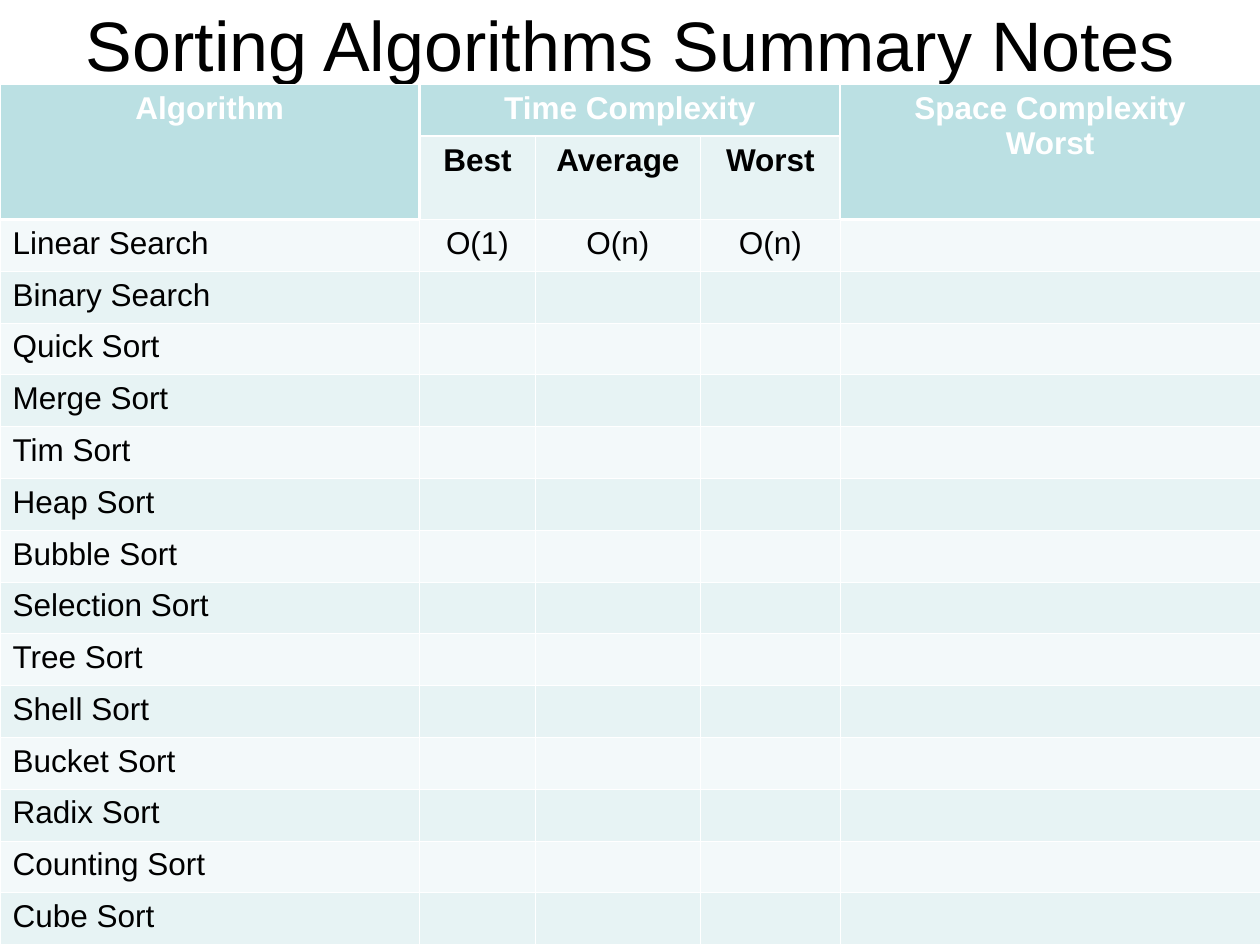
from lxml.etree import SubElement
from pptx import Presentation
from pptx.dml.color import RGBColor
from pptx.enum.text import MSO_ANCHOR, MSO_AUTO_SIZE, PP_ALIGN
from pptx.oxml.ns import qn
from pptx.util import Inches, Pt

COLUMN_WIDTHS = [3.33, 0.92, 1.31, 1.11, 3.33]
SUBHEAD_HEIGHT = 0.66
SUBHEADS = ["Best", "Average", "Worst"]
ALGORITHMS = ["Linear Search", "Binary Search", "Quick Sort", "Merge Sort", "Tim Sort",
              "Heap Sort", "Bubble Sort", "Selection Sort", "Tree Sort", "Shell Sort",
              "Bucket Sort", "Radix Sort", "Counting Sort", "Cube Sort"]
COMPLEXITIES = {"Linear Search": ["O(1)", "O(n)", "O(n)"]}
WHITE, BLACK, TEAL, BANDS = "FFFFFF", "000000", "BBE0E3", ["F3F9FA", "E7F3F4"]
NEIGHBOURS = {"a:lnL": (0, -1), "a:lnR": (0, 1), "a:lnT": (-1, 0), "a:lnB": (1, 0)}
THIN, THICK = 0.45, 1.47


def color(value):
    """Return the colour for a hex string."""
    return RGBColor.from_string(value)


def write(frame, text, size, ink, bold=False, align=PP_ALIGN.CENTER):
    """Write text into a frame, one paragraph for each line."""
    frame.text = text
    formats = {"name": "Arial", "size": Pt(size), "bold": bold}
    for para in frame.paragraphs:
        para.alignment = align
        for span in para.runs:
            for name, value in formats.items():
                setattr(span.font, name, value)
            span.font.color.rgb = color(ink)


def add_title(page, text, left, top, width, height):
    """Place and format the slide title."""
    title = page.shapes.title
    box = {"left": left, "top": top, "width": width, "height": height}
    for name, value in box.items():
        setattr(title, name, Inches(value))
    frame = title.text_frame
    formats = {"auto_size": MSO_AUTO_SIZE.NONE, "word_wrap": True,
               "vertical_anchor": MSO_ANCHOR.MIDDLE,
               "margin_top": Inches(0.11), "margin_bottom": 0}
    for name, value in formats.items():
        setattr(frame, name, value)
    write(frame, text, 40, BLACK)


def region(row, column):
    """Name the part of the table that a grid position belongs to."""
    if row < 2 and column == 0:
        return "Algorithm"
    if row < 2 and column == 4:
        return "Space Complexity\nWorst"
    return "Time Complexity" if row == 0 else "body"


def add_borders(cell, row, column, row_count):
    """Draw white cell borders, thicker where two regions meet."""
    properties = cell._tc.get_or_add_tcPr()
    for tag, (down, across) in NEIGHBOURS.items():
        beside_row, beside_column = row + down, column + across
        inside = 0 <= beside_row < row_count and 0 <= beside_column < len(COLUMN_WIDTHS)
        meets = inside and region(row, column) != region(beside_row, beside_column)
        line = SubElement(properties, qn(tag), w=str(Pt(THICK if meets else THIN)))
        SubElement(SubElement(line, qn("a:solidFill")), qn("a:srgbClr"), val=WHITE)


def add_complexity_table(page, left, top, width, height):
    """Build the table of algorithms and their complexities."""
    row_count = len(ALGORITHMS) + 2
    frame = page.shapes.add_table(row_count, len(COLUMN_WIDTHS), Inches(left),
                                  Inches(top), Inches(width), Inches(height))
    table = frame.table
    table.first_row = table.horz_banding = False
    for column, column_width in zip(table.columns, COLUMN_WIDTHS):
        column.width = Inches(column_width)
    row_height = (height - SUBHEAD_HEIGHT) / (row_count - 1)
    for index, row in enumerate(table.rows):
        row.height = Inches(SUBHEAD_HEIGHT if index == 1 else row_height)

    for row in range(row_count):
        for column in range(len(COLUMN_WIDTHS)):
            cell = table.cell(row, column)
            add_borders(cell, row, column, row_count)
            cell.fill.solid()
            in_body = region(row, column) == "body"
            cell.fill.fore_color.rgb = color(BANDS[row % 2] if in_body else TEAL)

    for start, end in [((0, 0), (1, 0)), ((0, 1), (0, 3)), ((0, 4), (1, 4))]:
        table.cell(*start).merge(table.cell(*end))
        write(table.cell(*start).text_frame, region(*start), 18, WHITE, bold=True)
    for column, text in enumerate(SUBHEADS, 1):
        write(table.cell(1, column).text_frame, text, 18, BLACK, bold=True)
    for row, algorithm in enumerate(ALGORITHMS, 2):
        write(table.cell(row, 0).text_frame, algorithm, 18, BLACK, align=PP_ALIGN.LEFT)
        for column, text in enumerate(COMPLEXITIES.get(algorithm, []), 1):
            write(table.cell(row, column).text_frame, text, 18, BLACK)


def main():
    """Build the deck and save it."""
    deck = Presentation()
    deck.slide_width, deck.slide_height = Inches(10), Inches(7.5)
    page = deck.slides.add_slide(deck.slide_layouts[5])
    add_title(page, "Sorting Algorithms Summary Notes", 0, 0, 10, 0.58)
    add_complexity_table(page, 0, 0.67, 10, 6.83)
    deck.save("out.pptx")


if __name__ == "__main__":
    main()
